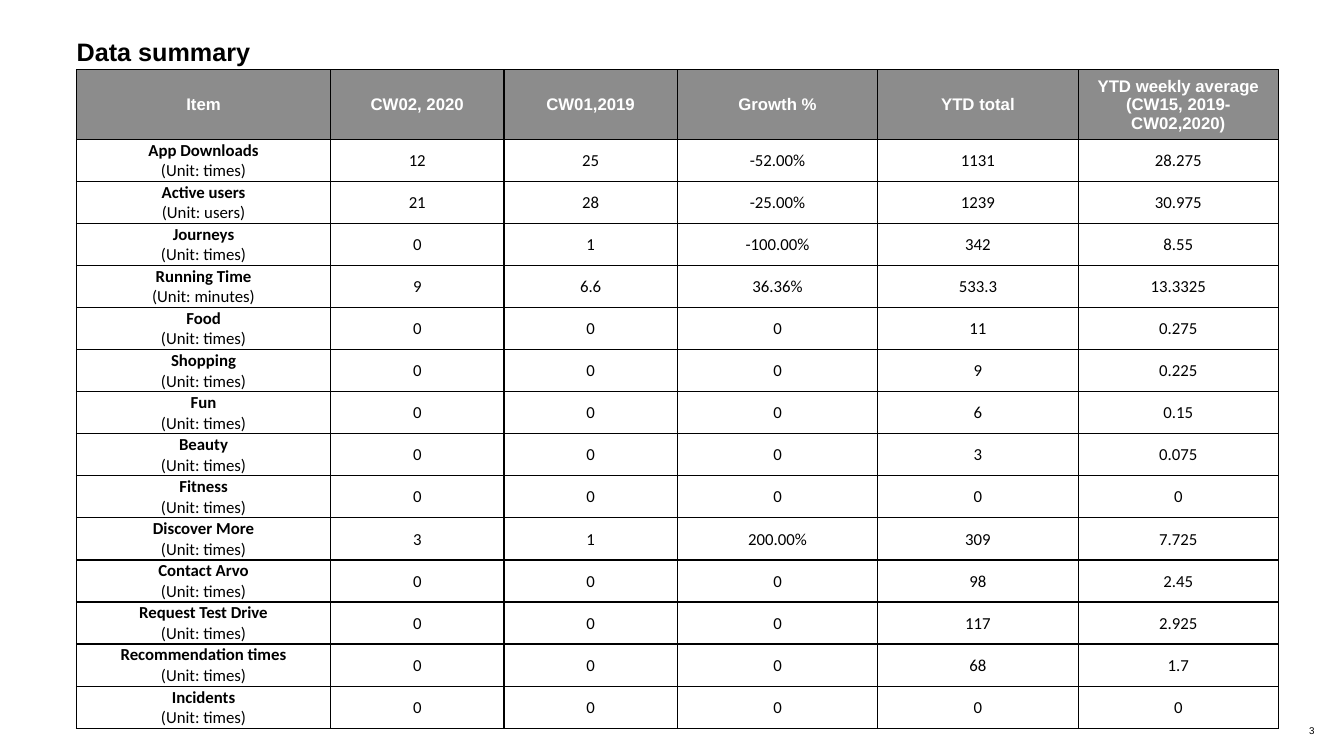
import pptx
import pptx.util
import pptx.dml.color
import pptx.enum.text
import pptx.oxml
import pptx.oxml.ns

Cm = pptx.util.Cm
Pt = pptx.util.Pt
RGBColor = pptx.dml.color.RGBColor
ALIGN = pptx.enum.text.PP_ALIGN
ANCHOR = pptx.enum.text.MSO_ANCHOR

BLACK = RGBColor(0x00, 0x00, 0x00)
WHITE = RGBColor(0xFF, 0xFF, 0xFF)
HEADER_GRAY = RGBColor(0x8C, 0x8C, 0x8C)

COLUMN_WIDTHS = (6.4, 4.37, 4.37, 5.05, 5.05, 5.05)
HEADER_HEIGHT = 1.75
ROW_HEIGHT = 1.06

HEADERS = ("Item", "CW02, 2020", "CW01,2019", "Growth %", "YTD total",
           "YTD weekly average\n(CW15, 2019-CW02,2020)")
# Item, unit, current week, previous week, growth, total, weekly average
ITEMS = (
    ("App Downloads", "times", "12", "25", "-52.00%", "1131", "28.275"),
    ("Active users", "users", "21", "28", "-25.00%", "1239", "30.975"),
    ("Journeys", "times", "0", "1", "-100.00%", "342", "8.55"),
    ("Running Time", "minutes", "9", "6.6", "36.36%", "533.3", "13.3325"),
    ("Food", "times", "0", "0", "0", "11", "0.275"),
    ("Shopping", "times", "0", "0", "0", "9", "0.225"),
    ("Fun", "times", "0", "0", "0", "6", "0.15"),
    ("Beauty", "times", "0", "0", "0", "3", "0.075"),
    ("Fitness", "times", "0", "0", "0", "0", "0"),
    ("Discover More", "times", "3", "1", "200.00%", "309", "7.725"),
    ("Contact Arvo", "times", "0", "0", "0", "98", "2.45"),
    ("Request Test Drive", "times", "0", "0", "0", "117", "2.925"),
    ("Recommendation times", "times", "0", "0", "0", "68", "1.7"),
    ("Incidents", "times", "0", "0", "0", "0", "0"),
)


def format_font(paragraph, name, size, color, bold=False):
    font = paragraph.font
    font.name, font.size, font.bold = name, Pt(size), bold
    font.color.rgb = color


def clear_margins(frame):
    frame.margin_left = frame.margin_right = 0
    frame.margin_top = frame.margin_bottom = 0


def add_borders(cell):
    """Give the cell a 1 pt black line on each side."""
    properties = cell._tc.get_or_add_tcPr()
    for index, side in enumerate(("lnL", "lnR", "lnT", "lnB")):
        properties.insert(index, pptx.oxml.parse_xml(
            f'<a:{side} {pptx.oxml.ns.nsdecls("a")} w="{Pt(1)}">'
            f'<a:solidFill><a:srgbClr val="{BLACK}"/></a:solidFill></a:{side}>'))


def fill_cell(cell, text, font_name, color, bold_lines, fill=None):
    """Write centred text, with the first bold_lines lines in bold."""
    cell.text = text
    cell.vertical_anchor = ANCHOR.MIDDLE
    cell.margin_left = cell.margin_right = cell.margin_top = Cm(0.02)
    cell.margin_bottom = 0
    for index, paragraph in enumerate(cell.text_frame.paragraphs):
        paragraph.alignment = ALIGN.CENTER
        format_font(paragraph, font_name, 12, color, index < bold_lines)
    if fill is None:
        cell.fill.background()
    else:
        cell.fill.solid()
        cell.fill.fore_color.rgb = fill
    add_borders(cell)


def place_title(slide, left, top, width, height):
    title = slide.shapes.title
    title.left, title.top = Cm(left), Cm(top)
    title.width, title.height = Cm(width), Cm(height)
    frame = title.text_frame
    frame.text = "Data summary"
    frame.vertical_anchor = ANCHOR.TOP
    frame.auto_size = pptx.enum.text.MSO_AUTO_SIZE.NONE
    clear_margins(frame)
    paragraph = frame.paragraphs[0]
    paragraph.alignment = ALIGN.LEFT
    paragraph.line_spacing = 1.1
    format_font(paragraph, "Arial", 18, BLACK, True)


def add_summary_table(slide, left, top):
    height = HEADER_HEIGHT + ROW_HEIGHT * len(ITEMS)
    table = slide.shapes.add_table(
        len(ITEMS) + 1, len(HEADERS), Cm(left), Cm(top),
        Cm(sum(COLUMN_WIDTHS)), Cm(height)).table
    table.horz_banding = False
    for column, width in zip(table.columns, COLUMN_WIDTHS):
        column.width = Cm(width)
    for index, row in enumerate(table.rows):
        row.height = Cm(ROW_HEIGHT if index else HEADER_HEIGHT)

    # Header row
    for column, text in enumerate(HEADERS):
        fill_cell(table.cell(0, column), text, "Arial", WHITE, 2, HEADER_GRAY)

    # Item rows
    for row, (item, unit, *values) in enumerate(ITEMS, start=1):
        texts = [f"{item}\n(Unit: {unit})", *values]
        for column, text in enumerate(texts):
            fill_cell(table.cell(row, column), text, "Calibri", BLACK,
                      1 if column == 0 else 0)


def add_page_number(slide, left, top, width, height):
    frame = slide.shapes.add_textbox(
        Cm(left), Cm(top), Cm(width), Cm(height)).text_frame
    frame.text = "3"
    frame.word_wrap = True
    frame.vertical_anchor = ANCHOR.MIDDLE
    clear_margins(frame)
    format_font(frame.paragraphs[0], "Arial", 7, BLACK)


def build_summary_slide(presentation):
    slide = presentation.slides.add_slide(presentation.slide_layouts[5])
    place_title(slide, 1.93, 0.84, 31.5, 1.7)
    add_summary_table(slide, 1.93, 1.76)
    add_page_number(slide, 32.99, 18.19, 0.88, 0.43)


presentation = pptx.Presentation()
presentation.slide_width, presentation.slide_height = Cm(33.87), Cm(19.05)
build_summary_slide(presentation)
presentation.save("out.pptx")
